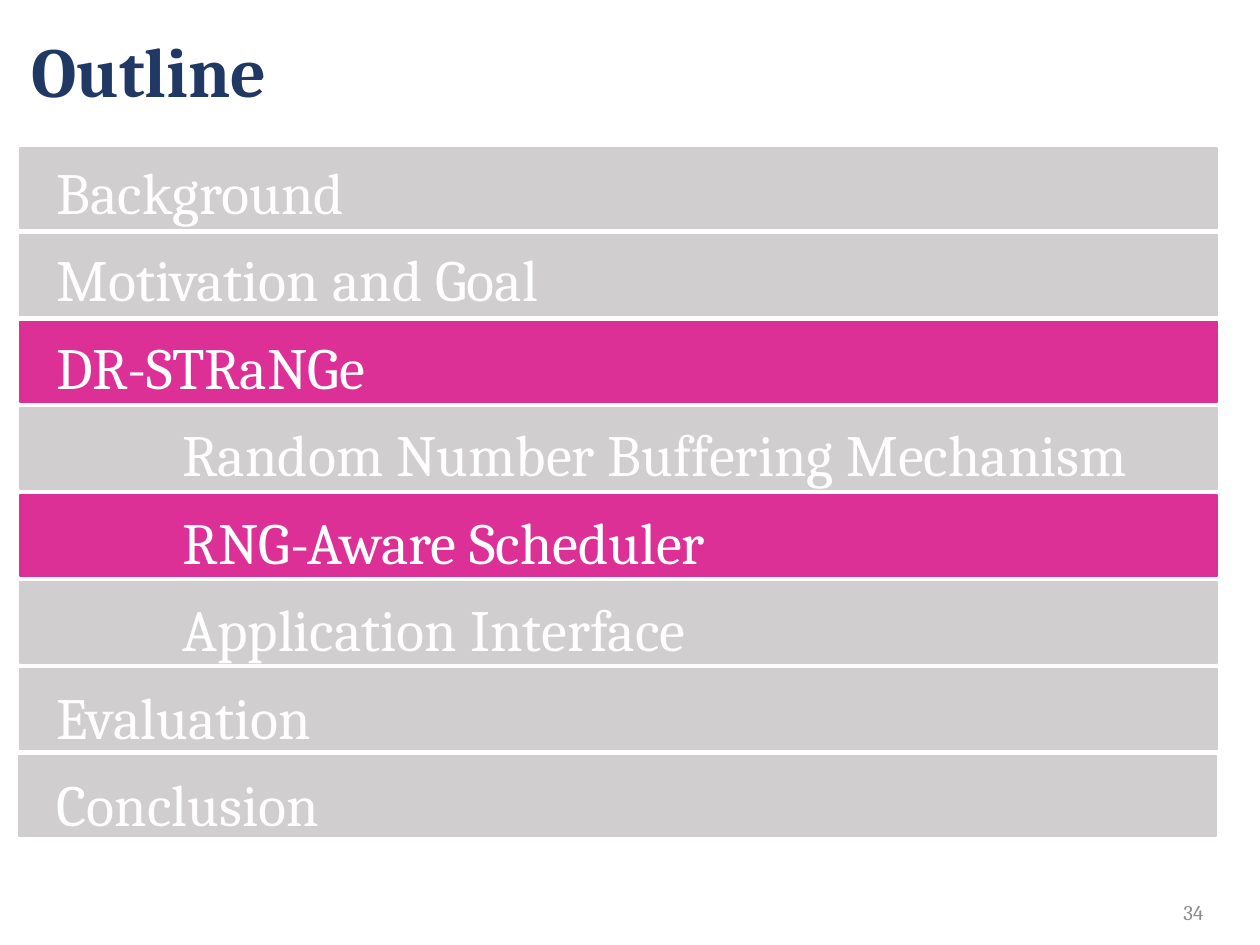
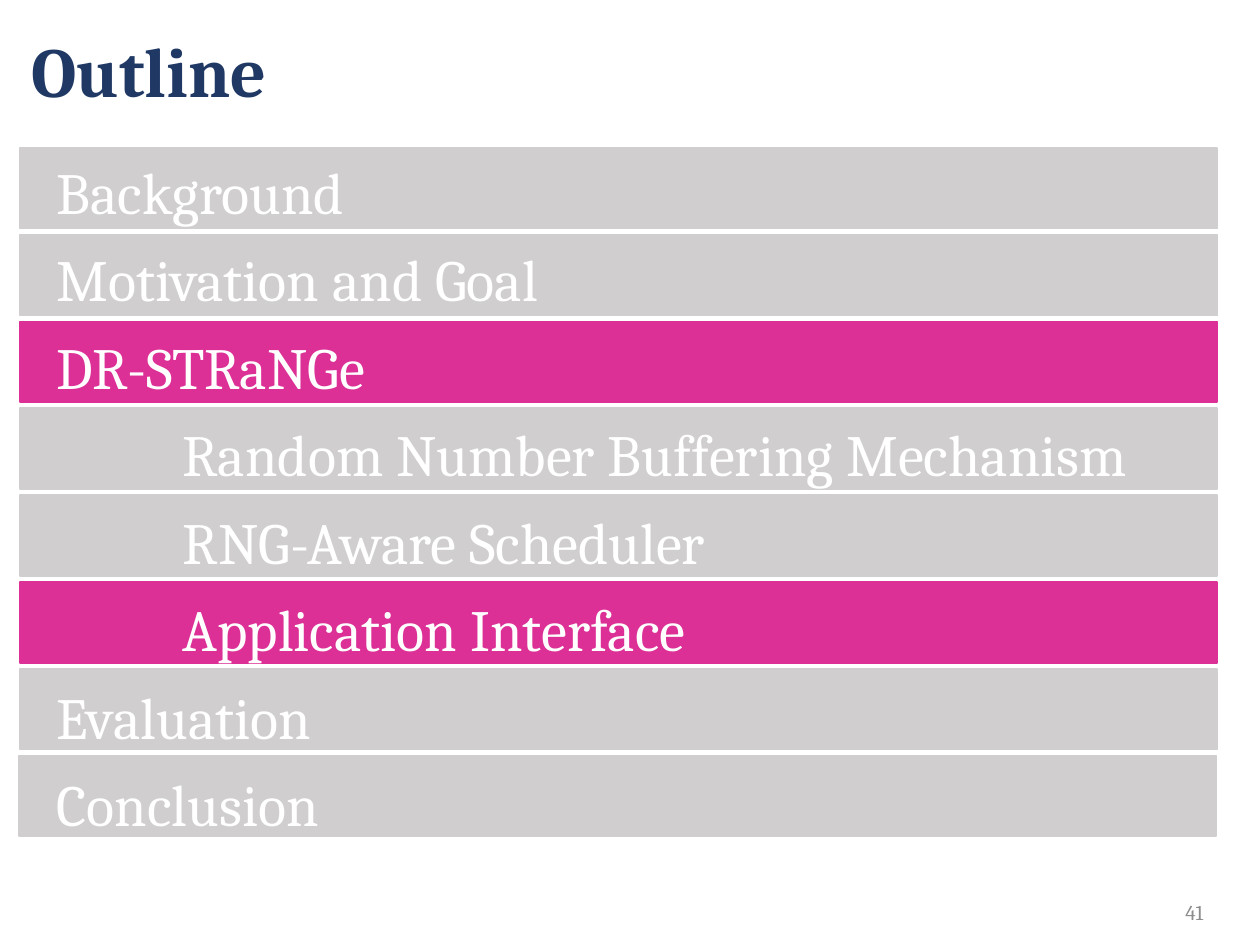
from dataclasses import dataclass

import pptx
import pptx.dml.color
import pptx.enum.shapes
import pptx.enum.text
import pptx.util
from pptx.util import Cm, Pt

COLORS = {
    "paper": "FFFFFF",
    "title": "203864",
    "muted": "D0CECE",
    "accent": "DC3096",
    "number": "8C8C8C",
}
FONT = "Cambria"
ALIGN = pptx.enum.text.PP_ALIGN
ANCHOR = pptx.enum.text.MSO_ANCHOR

# Bars of the outline
BAR_TOP, BAR_STEP = 2.98, 1.75
BAR_WIDTH, BAR_HEIGHT = 24.13, 1.63
SUBTOPIC_INDENT = Cm(2.54)


@dataclass(frozen=True)
class Topic:
    text: str
    indented: bool = False
    left: float = 0.41


@dataclass(frozen=True)
class OutlinePage:
    number: int
    active: tuple[str, ...]


TOPICS = [
    Topic("Background"),
    Topic("Motivation and Goal"),
    Topic("DR-STRaNGe"),
    Topic("Random Number Buffering Mechanism", indented=True),
    Topic("RNG-Aware Scheduler", indented=True),
    Topic("Application Interface", indented=True),
    Topic("Evaluation"),
    Topic("Conclusion", left=0.38),
]
PAGES = [
    OutlinePage(34, ("DR-STRaNGe", "RNG-Aware Scheduler")),
    OutlinePage(41, ("DR-STRaNGe", "Application Interface")),
]


def rgb(name: str) -> pptx.dml.color.RGBColor:
    return pptx.dml.color.RGBColor.from_string(COLORS[name])


def set_all(target, values: dict) -> None:
    for name, value in values.items():
        setattr(target, name, value)


def place(shape, left: float, top: float, width: float, height: float) -> None:
    set_all(shape, {"left": Cm(left), "top": Cm(top),
                    "width": Cm(width), "height": Cm(height)})


def write(para, text: str, size: float, color: str, bold: bool = False, **layout) -> None:
    set_all(para, layout)
    span = para.add_run()
    span.text = text
    set_all(span.font, {"name": FONT, "size": Pt(size), "bold": bold})
    span.font.color.rgb = rgb(color)


def frame_of(box, anchor):
    frame = box.text_frame
    set_all(frame, {"word_wrap": True, "vertical_anchor": anchor,
                    "auto_size": pptx.enum.text.MSO_AUTO_SIZE.NONE})
    return frame


def add_title(page) -> None:
    box = page.shapes.title
    place(box, 0.38, 0, 24.71, 3.02)
    frame = frame_of(box, ANCHOR.MIDDLE)
    write(frame.paragraphs[0], "Outline", 40, "title", bold=True,
          alignment=ALIGN.LEFT, line_spacing=0.9)


def add_page_number(page, number: int) -> None:
    box = page.shapes.add_textbox(Cm(23.32), Cm(18.11), Cm(1.19), Cm(0.56))
    frame = frame_of(box, ANCHOR.MIDDLE)
    write(frame.paragraphs[0], str(number), 12, "number", alignment=ALIGN.RIGHT)


def add_bar(page, row: int, topic: Topic, color: str) -> None:
    bar = page.shapes.add_shape(
        pptx.enum.shapes.MSO_SHAPE.RECTANGLE, Cm(topic.left),
        Cm(BAR_TOP + row * BAR_STEP), Cm(BAR_WIDTH), Cm(BAR_HEIGHT))
    bar.shadow.inherit = False
    bar.fill.solid()
    bar.fill.fore_color.rgb = rgb(color)
    bar.line.color.rgb = rgb(color)
    bar.line.width = Pt(1)


def add_topics(page) -> None:
    box = page.shapes.add_textbox(Cm(0.89), Cm(2.92), Cm(23.62), Cm(14.22))
    frame = frame_of(box, ANCHOR.TOP)
    frame.margin_top = Cm(0.22)
    for row, topic in enumerate(TOPICS):
        para = frame.add_paragraph() if row else frame.paragraphs[0]
        if topic.indented:
            para._p.get_or_add_pPr().set("marL", str(SUBTOPIC_INDENT))
        write(para, topic.text, 33.3, "paper", alignment=ALIGN.LEFT,
              line_spacing=Pt(40), space_before=Pt(10 if row else 0))


def add_outline(deck, outline: OutlinePage) -> None:
    page = deck.slides.add_slide(deck.slide_layouts[5])
    page.background.fill.solid()
    page.background.fill.fore_color.rgb = rgb("paper")
    add_title(page)
    add_page_number(page, outline.number)
    for row, topic in enumerate(TOPICS):
        add_bar(page, row, topic, "accent" if topic.text in outline.active else "muted")
    add_topics(page)


def main() -> None:
    deck = pptx.Presentation()
    set_all(deck, {"slide_width": Cm(25.4), "slide_height": Cm(19.05)})
    for outline in PAGES:
        add_outline(deck, outline)
    deck.save("out.pptx")


if __name__ == "__main__":
    main()
